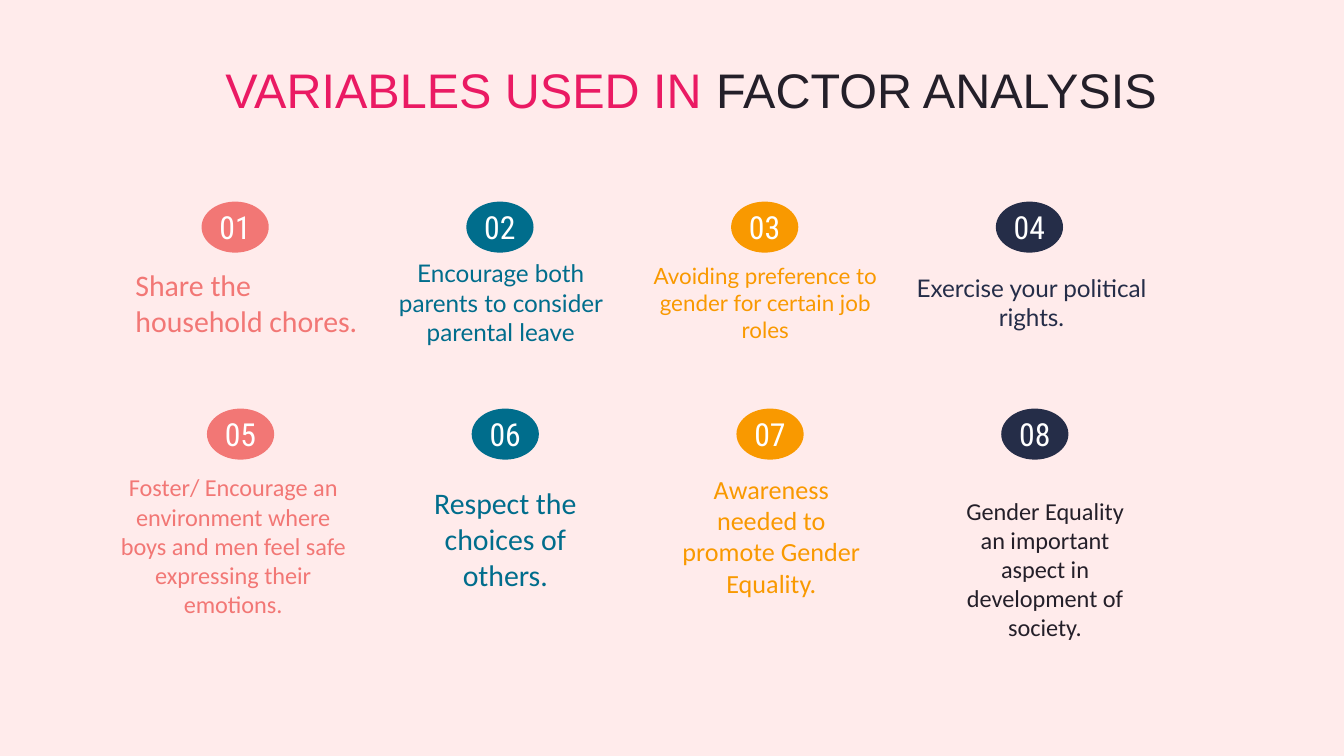
import pptx
import pptx.dml.color
import pptx.enum.shapes
import pptx.enum.text
import pptx.util

Inches = pptx.util.Inches
Align = pptx.enum.text.PP_ALIGN
Anchor = pptx.enum.text.MSO_ANCHOR
AutoSize = pptx.enum.text.MSO_AUTO_SIZE

COLORS = {
    "background": "FFEBEB",
    "pink": "EA1A63",
    "ink": "241F29",
    "coral": "F27775",
    "teal": "006D8C",
    "amber": "F99900",
    "navy": "252D48",
    "white": "FFFFFF",
}
BADGE_COLORS = ["coral", "teal", "amber", "navy"]
BADGE_ROWS = [(1.5, 1.5), (1.54, 3.04)]  # left of first badge, top
COLUMN_PITCH = 1.97

# wording, (left, top, width, height), font, size, colour
CENTERED_CAPTIONS = [
    ("Encourage both parents to consider parental leave",
     (2.74, 2.05, 1.97, 0.4), "Lato", 13, "teal"),
    ("Avoiding preference to gender for certain job roles",
     (4.71, 2.05, 1.97, 0.4), "Lato", 12, "amber"),
    ("Exercise your political rights.",
     (6.69, 2.05, 1.97, 0.4), "Lato", 13, "navy"),
    ("Foster/ Encourage an environment where boys and men feel safe "
     "expressing their emotions.",
     (0.75, 3.81, 1.97, 0.5), "Calibri", 13, "coral"),
]
GROWING_CAPTIONS = [
    ("Respect the choices of others.",
     (3.02, 3.51, 1.48, 1.01), "Calibri", 16, "teal"),
    ("Awareness needed to promote Gender Equality.",
     (4.91, 3.42, 1.66, 1.38), "Calibri", 14, "amber"),
    ("Gender Equality an important aspect in development of society.",
     (7.05, 3.59, 1.45, 1.55), "Calibri", 13, "ink"),
]


def rgb(color):
    return pptx.dml.color.RGBColor.from_string(COLORS[color])


class SlideBuilder:
    """Holds the current slide and the style shared by its elements."""

    inset = Inches(0.1)
    badge_font = "Roboto Condensed"
    badge_size = 17
    title_font = "Arial"
    title_size = 26

    def __init__(self, slide):
        self.slide = slide
        slide.background.fill.solid()
        slide.background.fill.fore_color.rgb = rgb("background")

    def format_run(self, run, font, size, color):
        run.font.name = font
        run.font.size = pptx.util.Pt(size)
        run.font.bold = False
        run.font.color.rgb = rgb(color)

    def format_frame(self, frame, anchor, side_inset):
        frame.word_wrap = True
        frame.vertical_anchor = anchor
        frame.margin_left = frame.margin_right = side_inset
        frame.margin_top = frame.margin_bottom = self.inset

    def title(self, parts, box):
        heading = self.slide.shapes.title
        heading.left, heading.top, heading.width, heading.height = map(Inches, box)
        frame = heading.text_frame
        self.format_frame(frame, Anchor.TOP, self.inset)
        frame.auto_size = AutoSize.NONE
        paragraph = frame.paragraphs[0]
        paragraph.alignment = Align.CENTER
        for words, color in parts:
            run = paragraph.add_run()
            run.text = words
            self.format_run(run, self.title_font, self.title_size, color)

    def badge(self, number, left, top, color):
        oval = self.slide.shapes.add_shape(
            pptx.enum.shapes.MSO_SHAPE.OVAL,
            Inches(left), Inches(top), Inches(0.5), Inches(0.38))
        oval.shadow.inherit = False
        oval.fill.solid()
        oval.fill.fore_color.rgb = rgb(color)
        oval.line.fill.background()
        frame = oval.text_frame
        frame.text = f"{number:02d}"
        self.format_frame(frame, Anchor.MIDDLE, 0)
        paragraph = frame.paragraphs[0]
        paragraph.alignment = Align.CENTER
        self.format_run(paragraph.runs[0], self.badge_font, self.badge_size, "white")

    def caption(self, words, box, font, size, color,
                align=Align.CENTER, grows=False):
        frame = self.slide.shapes.add_textbox(*map(Inches, box)).text_frame
        frame.text = words
        self.format_frame(frame, Anchor.TOP if grows else Anchor.MIDDLE, self.inset)
        frame.auto_size = AutoSize.SHAPE_TO_FIT_TEXT if grows else AutoSize.NONE
        paragraph = frame.paragraphs[0]
        paragraph.alignment = align
        self.format_run(paragraph.runs[0], font, size, color)


def main():
    deck = pptx.Presentation()
    deck.slide_width = Inches(10)
    deck.slide_height = deck.slide_width * 9 // 16
    builder = SlideBuilder(deck.slides.add_slide(deck.slide_layouts[5]))

    builder.title([("VARIABLES USED IN ", "pink"), ("FACTOR ANALYSIS", "ink")],
                  (0.91, 0.35, 8.47, 0.6))

    for row, (first_left, top) in enumerate(BADGE_ROWS):
        for column, color in enumerate(BADGE_COLORS):
            number = row * len(BADGE_COLORS) + column + 1
            builder.badge(number, first_left + column * COLUMN_PITCH, top, color)

    builder.caption("Share the household chores.", (0.91, 2, 1.97, 0.5),
                    "Calibri", 16, "coral", align=Align.LEFT)
    for caption in CENTERED_CAPTIONS:
        builder.caption(*caption)
    for caption in GROWING_CAPTIONS:
        builder.caption(*caption, grows=True)

    deck.save("out.pptx")


if __name__ == "__main__":
    main()
